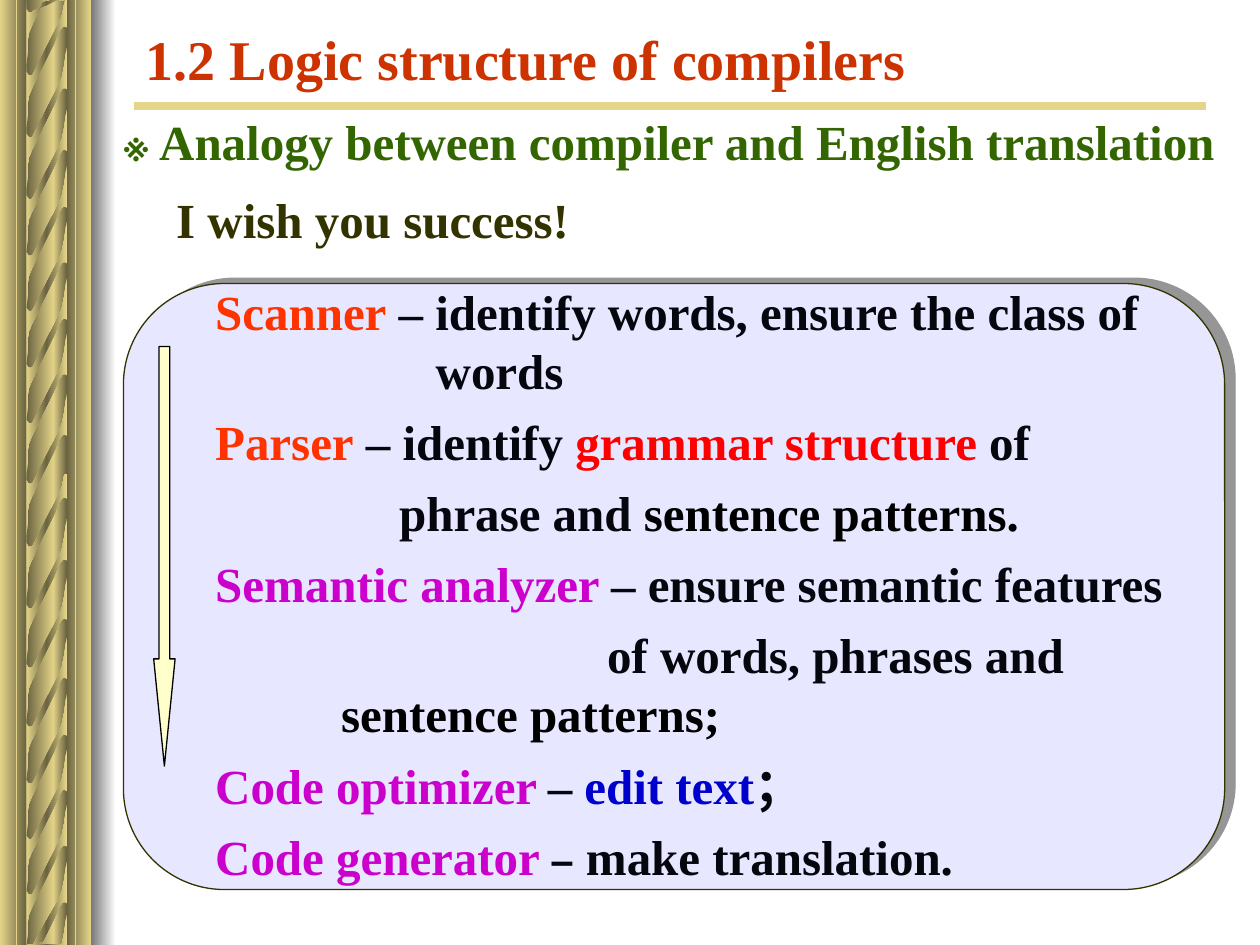
import pptx
import pptx.dml.color
import pptx.enum.shapes
import pptx.enum.text
import pptx.oxml
import pptx.oxml.ns
import pptx.util

Inches = pptx.util.Inches
Pt = pptx.util.Pt
SHAPES = pptx.enum.shapes.MSO_SHAPE
ANCHORS = pptx.enum.text.MSO_ANCHOR
qn = pptx.oxml.ns.qn
NAMESPACE = pptx.oxml.ns.nsdecls("a")

COLORS = {
    "gold": "E5D58A", "bronze": "6A6340", "gray": "767676", "white": "FFFFFF",
    "heading": "CC3300", "green": "336600", "olive": "333300",
    "panel": "E7E7FF", "shadow": "969696", "arrow": "FFFFCC", "black": "000000",
    "ink": "06070E", "orange": "FF3300", "red": "FF0000",
    "purple": "CC00CC", "blue": "0000CC",
}
FONT = "Times New Roman"
SLIDE_HEIGHT = 7.5

# Vertical bands of the column: left, width, colours from left to right
BANDS = [
    (0.42, 0.11, ("gold", "bronze")),
    (0, 0.21, ("gold", "bronze")),
    (0.21, 0.22, ("bronze", "gold")),
    (0.53, 0.19, ("bronze", "gold")),
]
# Outline of one rope strand: x on the slide, y below the top of the strand
STRAND = [
    (0.53, 0.09), (0.53, 0.33), (0.52, 0.32), (0.5, 0.32), (0.49, 0.33),
    (0.47, 0.36), (0.43, 0.45), (0.34, 0.63), (0.25, 0.82), (0.23, 0.87),
    (0.22, 0.93), (0.22, 1.01), (0.21, 1.12), (0.21, 0.63), (0.21, 0.68),
    (0.22, 0.7), (0.23, 0.71), (0.25, 0.71), (0.26, 0.7), (0.45, 0.33),
    (0.49, 0.24), (0.5, 0.19), (0.51, 0.14), (0.52, 0.06), (0.53, 0),
    (0.53, 0.2),
]
# Halves of the column: top, tops of the strands
HALVES = [
    (3.74, [4.59, 5.06, 5.51, 5.95, 6.39, 6.84, 4.12, 3.63, 7.26]),
    (0, [0.87, 1.32, 1.76, 2.21, 2.65, 0.38, -0.11, -0.61, 3.13]),
]

# Compiler phases: left margin, first-line indent, space before, runs
PHASES = [
    (0, 0, 0, [("Scanner", "orange"),
               (" – identify words, ensure the class of", "ink")]),
    (1.75, 0, 0, [("words", "ink")]),
    (0, 0, 7, [("Parser", "orange"), (" – identify ", "ink"),
               ("grammar structure", "red"), (" of", "ink")]),
    (1.46, 0, 7, [("phrase and ", "ink"), ("sentence patterns.", "black")]),
    (0, 0, 7, [("Semantic analyzer ", "purple"),
               ("– ensure semantic features", "ink")]),
    (1, 2.11, 7, [("of words, phrases and ", "ink"),
                  ("sentence patterns;", "black")]),
    (0, 0, 7, [("Code optimizer", "purple"), (" ", "olive", 24), ("– ", "ink"),
               ("edit text", "blue"), ("；", "ink")]),
    (0, 0, 7, [("Code generator", "purple"), (" ", "olive", 24),
               ("–", "ink", 24, "Arial"), (" make translation.", "ink")]),
]


def rgb(name):
    return pptx.dml.color.RGBColor.from_string(COLORS[name])


def fill_gradient(shape, names):
    """Give a shape an even left-to-right gradient without an outline."""
    shape.shadow.inherit = False
    shape.line.fill.background()
    shape.fill.gradient()
    shape.fill.gradient_angle = 0
    stops = shape._element.spPr.find(qn("a:gradFill")).find(qn("a:gsLst"))
    for stop in list(stops):
        stops.remove(stop)
    for index, name in enumerate(names):
        position = 100000 * index // (len(names) - 1)
        stops.append(pptx.oxml.parse_xml(
            f'<a:gs {NAMESPACE} pos="{position}">'
            f'<a:srgbClr val="{COLORS[name]}"/></a:gs>'))


def add_band(page, left, top, width, height, names):
    band = page.shapes.add_shape(SHAPES.RECTANGLE, Inches(left), Inches(top),
                                 Inches(width), Inches(height))
    fill_gradient(band, names)


def add_strand(page, top, upper_limit):
    points = [(Inches(x), Inches(min(max(top + y, upper_limit), SLIDE_HEIGHT)))
              for x, y in STRAND]
    builder = page.shapes.build_freeform(*points[0])
    builder.add_line_segments(points[1:], close=True)
    fill_gradient(builder.convert_to_shape(), ("gold", "bronze", "gold"))


def add_line(page, start, end, width):
    line = page.shapes.add_connector(
        pptx.enum.shapes.MSO_CONNECTOR.STRAIGHT, *map(Inches, start + end))
    line.line.color.rgb = rgb("gold")
    line.line.width = Pt(width)
    line._element.spPr.append(
        pptx.oxml.parse_xml(f"<a:effectLst {NAMESPACE}/>"))


def add_solid(page, kind, place, fill, outline):
    shape = page.shapes.add_shape(kind, *map(Inches, place))
    shape.shadow.inherit = False
    shape.fill.solid()
    shape.fill.fore_color.rgb = rgb(fill)
    shape.line.color.rgb = rgb(outline)
    shape.line.width = Pt(0.75)
    return shape


def add_run(para, text, color, size=28, font=FONT):
    span = para.add_run()
    span.text = text
    span.font.name = font
    span.font.size = Pt(size)
    span.font.bold = True
    span.font.color.rgb = rgb(color)


def write_paragraphs(box, paragraphs, anchor=ANCHORS.TOP, spacing=Pt(33.7)):
    frame = box.text_frame
    frame.word_wrap = True
    frame.auto_size = pptx.enum.text.MSO_AUTO_SIZE.NONE
    frame.vertical_anchor = anchor
    for index, (margin, indent, before, runs) in enumerate(paragraphs):
        para = frame.add_paragraph() if index else frame.paragraphs[0]
        para.alignment = pptx.enum.text.PP_ALIGN.LEFT
        para.line_spacing = spacing
        para.space_before = Pt(before)
        properties = para._p.get_or_add_pPr()
        properties.set("marL", str(Inches(margin)))
        properties.set("indent", str(Inches(indent)))
        for run in runs:
            add_run(para, *run)


def add_text(page, place, paragraphs, **options):
    box = page.shapes.add_textbox(*map(Inches, place))
    write_paragraphs(box, paragraphs, **options)


def add_column(page):
    for top, strand_tops in HALVES:
        for left, width, names in BANDS:
            add_band(page, left, top, width, SLIDE_HEIGHT / 2 + 0.01
                     if top == 0 else SLIDE_HEIGHT - top, names)
        for strand_top in strand_tops:
            add_strand(page, strand_top, top)
    add_band(page, 0.72, 0, 0.2, SLIDE_HEIGHT, ("gray", "white"))
    for x in (0.13, 0.6):
        add_line(page, (x, 0), (x, SLIDE_HEIGHT), 1)


def add_panel(page):
    panel = add_solid(page, SHAPES.FLOWCHART_ALTERNATE_PROCESS,
                      (0.98, 2.25, 8.74, 4.81), "panel", "olive")
    effects = panel._element.spPr.find(qn("a:effectLst"))
    effects.append(pptx.oxml.parse_xml(
        f'<a:outerShdw {NAMESPACE} dist="{Pt(6.7)}" dir="{333 * 60000}" '
        f'algn="ctr" rotWithShape="0">'
        f'<a:srgbClr val="{COLORS["shadow"]}"/></a:outerShdw>'))


def main():
    deck = pptx.Presentation()
    deck.slide_width, deck.slide_height = Inches(10), Inches(SLIDE_HEIGHT)
    page = deck.slides.add_slide(deck.slide_layouts[5])

    # Decorative column and rule under the heading
    add_column(page)
    add_line(page, (1.06, 0.84), (9.57, 0.84), 4.5)

    # Title
    title = page.shapes.title
    title.left, title.top = Inches(0.79), Inches(0.85)
    title.width, title.height = Inches(9.33), Inches(0.53)
    write_paragraphs(title, [(0.1, 0, 0, [
        ("※ ", "green", 24),
        ("Analogy between compiler and English translation", "green")])],
        anchor=ANCHORS.MIDDLE, spacing=1.0)

    # Panel with the phases and the arrow beside them
    add_panel(page)
    add_text(page, (1.61, 2.18, 8.03, 4.89), PHASES)
    arrow = add_solid(page, SHAPES.DOWN_ARROW, (1.22, 2.75, 0.17, 3.33),
                      "arrow", "black")
    arrow.adjustments[0], arrow.adjustments[1] = 0.5, 5

    # Example sentence and section heading
    add_text(page, (1.3, 1.45, 5.43, 0.57),
             [(0, 0, 0, [("I wish you success!", "olive")])])
    add_text(page, (1.06, 0.13, 8.51, 0.67),
             [(0, 0, 0, [("1.2 Logic structure of compilers", "heading", 32)])],
             anchor=ANCHORS.MIDDLE, spacing=1.0)

    deck.save("out.pptx")


if __name__ == "__main__":
    main()
